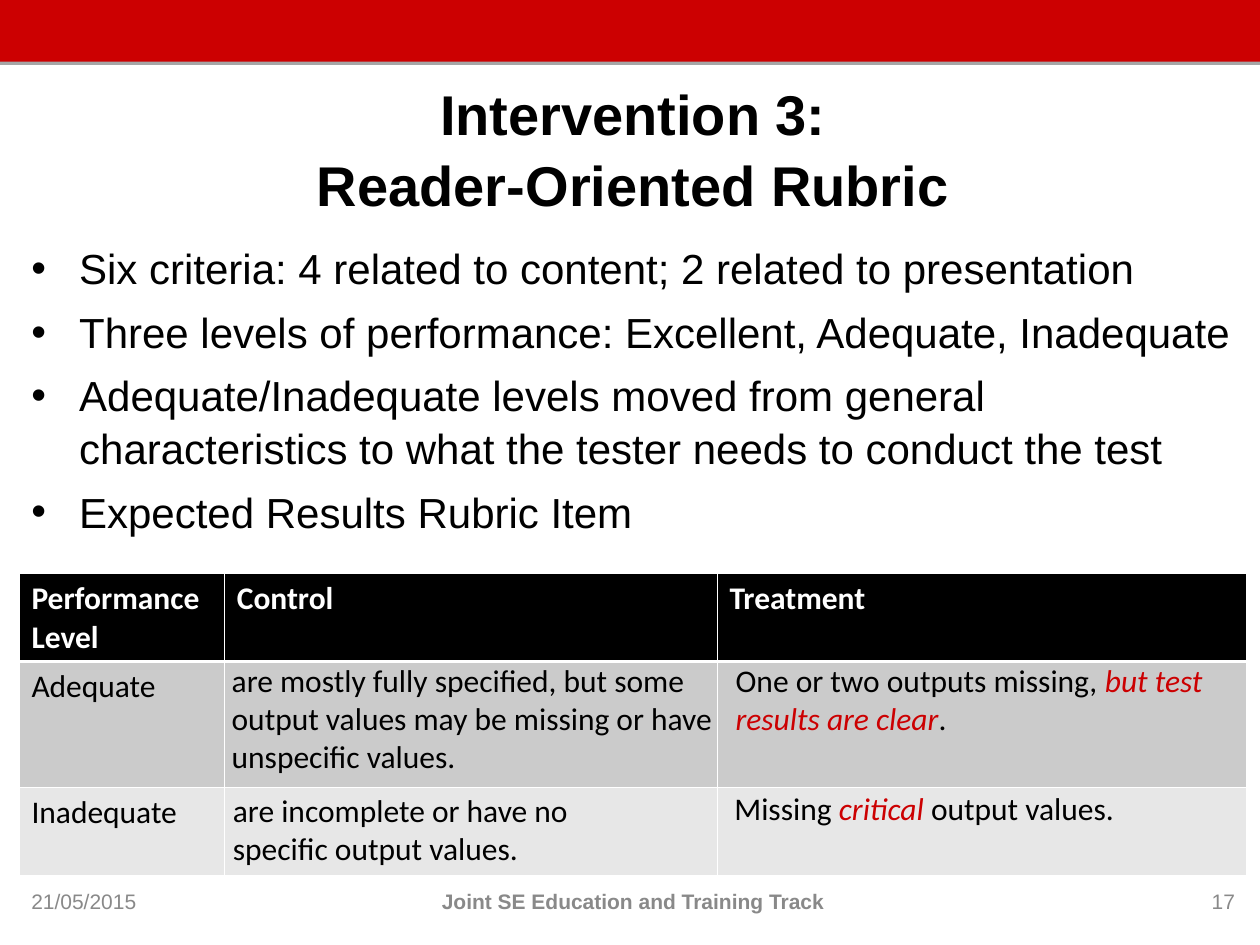
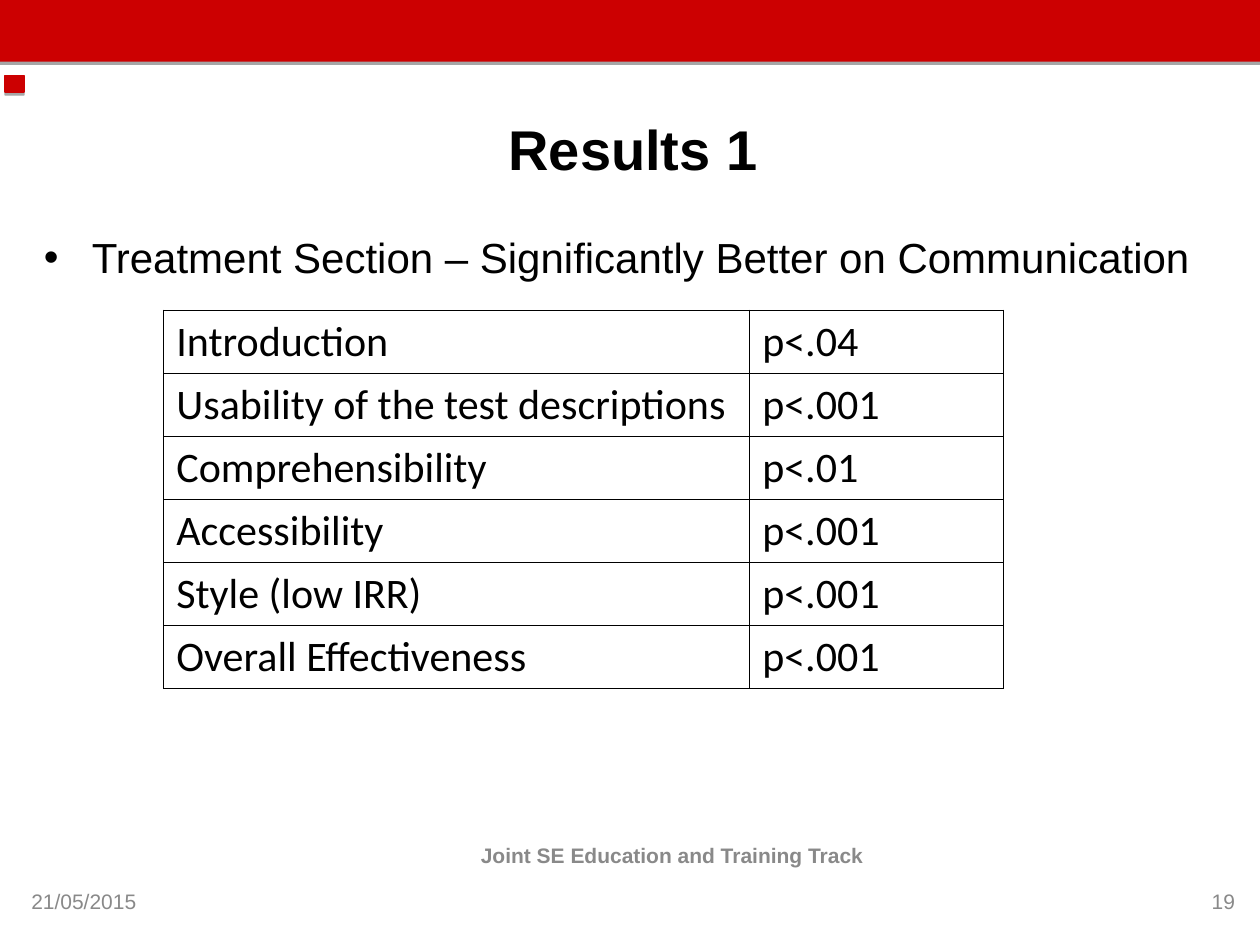
from lxml.etree import SubElement
from pptx import Presentation
from pptx.dml.color import RGBColor
from pptx.enum.shapes import MSO_SHAPE as Shape
from pptx.enum.text import MSO_ANCHOR as Anchor, PP_ALIGN as Align
from pptx.oxml.ns import qn
from pptx.util import Inches, Pt

RED, BLACK, WHITE, GREY = "CC0001", "000000", "FFFFFF", "898989"
HEADING, TABLE = "Arial", "Calibri"
MARGIN, CONTENT_WIDTH = 0.15, 9.75
FOOTER_TOP, FOOTER_HEIGHT = 6.95, 0.4
HAIRLINE, HEADER_RULE = 0.45, 1.47


def rgb(hex_colour):
    """Turn a hex string into a colour."""
    return RGBColor.from_string(hex_colour)


def add_xml(parent, tag, **attributes):
    """Append a DrawingML element and return it."""
    return SubElement(parent, qn(tag), {key: str(value) for key, value in attributes.items()})


def add_run(paragraph, text, size, font=HEADING, colour=BLACK, bold=False, italic=False):
    """Add one formatted run to a paragraph."""
    run = paragraph.add_run()
    run.text = text
    run.font.name, run.font.size = font, Pt(size)
    run.font.bold, run.font.italic = bold, italic
    run.font.color.rgb = rgb(colour)


def add_text_frame(slide, left, top, width, height, anchor=Anchor.TOP, wrap=True):
    """Add a text box and return its frame."""
    box = slide.shapes.add_textbox(Inches(left), Inches(top), Inches(width), Inches(height))
    frame = box.text_frame
    frame.word_wrap, frame.vertical_anchor = wrap, anchor
    return frame


def next_paragraph(frame, index):
    """Return the first paragraph of a frame, or a new one after it."""
    return frame.add_paragraph() if index else frame.paragraphs[0]


def add_red_block(slide, left, top, width, height, outlined=False):
    """Add a red rectangle with a hard shadow below it."""
    block = slide.shapes.add_shape(
        Shape.RECTANGLE, Inches(left), Inches(top), Inches(width), Inches(height))
    block.fill.solid()
    block.fill.fore_color.rgb = rgb(RED)
    if outlined:
        block.line.color.rgb = rgb(RED)
        block.line.width = Pt(0.75)
    else:
        block.line.fill.background()
    block.shadow.inherit = False
    effects = block.element.spPr.find(qn("a:effectLst"))
    shadow = add_xml(effects, "a:outerShdw", blurRad=0, dist=Pt(1.8), dir=5400000,
                     algn="ctr", rotWithShape=0)
    add_xml(add_xml(shadow, "a:srgbClr", val=BLACK), "a:alpha", val=35000)


def add_title(slide, lines):
    """Add the centred slide title."""
    frame = add_text_frame(slide, MARGIN, 0.58, CONTENT_WIDTH, 1.17, Anchor.MIDDLE)
    title = frame.paragraphs[0]
    title.alignment, title.line_spacing = Align.CENTER, 1.05
    for index, line in enumerate(lines):
        if index:
            title.add_line_break()
        add_run(title, line, 32, bold=True)


def add_bullets(slide, left, top, points):
    """Add the bulleted body text."""
    frame = add_text_frame(slide, left, top, CONTENT_WIDTH, 4.84)
    for index, point in enumerate(points):
        bullet = next_paragraph(frame, index)
        properties = bullet._p.get_or_add_pPr()
        properties.set("marL", str(Inches(0.38)))
        properties.set("indent", str(Inches(-0.38)))
        add_xml(properties, "a:buFont", typeface=HEADING)
        add_xml(properties, "a:buChar", char="•")
        bullet.line_spacing = 1.05
        if index:
            bullet.space_before = Pt(6)
        add_run(bullet, point, 24)


def add_footer(slide, number, track_left, track_top):
    """Add the date, track name and slide number."""
    for text, left, top, width, align in (
            ("21/05/2015", MARGIN, FOOTER_TOP, 1.15, Align.LEFT),
            ("Joint SE Education and Training Track", track_left, track_top, 7.01, Align.CENTER),
            (number, 9.44, FOOTER_TOP, 0.46, Align.RIGHT)):
        frame = add_text_frame(slide, left, top, width, FOOTER_HEIGHT, Anchor.MIDDLE)
        frame.paragraphs[0].alignment = align
        add_run(frame.paragraphs[0], text, 12, colour=GREY, bold=align == Align.CENTER)


def set_borders(cell, colour, top=HAIRLINE, bottom=HAIRLINE):
    """Draw the four borders of a cell."""
    properties = cell._tc.get_or_add_tcPr()
    for side, width in zip("LRTB", (HAIRLINE, HAIRLINE, top, bottom)):
        border = add_xml(properties, f"a:ln{side}", w=Pt(width))
        add_xml(add_xml(border, "a:solidFill"), "a:srgbClr", val=colour)


def add_grid(slide, left, top, widths, heights):
    """Add a table without banding and return it."""
    grid = slide.shapes.add_table(
        len(heights), len(widths), Inches(left), Inches(top),
        Inches(sum(widths)), Inches(sum(heights))).table
    grid.first_row = grid.horz_banding = False
    for column, width in zip(grid.columns, widths):
        column.width = Inches(width)
    for row, height in zip(grid.rows, heights):
        row.height = Inches(height)
    return grid


def add_rubric(slide):
    """Add the rubric table with its level names."""
    rubric = add_grid(slide, MARGIN, 4.55, (1.63, 3.91, 4.2), (0.7, 1, 0.7))
    levels = (
        (("Performance Level", "Control", "Treatment"), BLACK, HAIRLINE, HEADER_RULE),
        (("Adequate", "", ""), "CBCBCB", HEADER_RULE, HAIRLINE),
        (("Inadequate", "", ""), "E7E7E7", HAIRLINE, HAIRLINE))
    for row, (labels, fill, top, bottom) in zip(rubric.rows, levels):
        header = fill == BLACK
        for cell, label in zip(row.cells, labels):
            set_borders(cell, WHITE, top, bottom)
            cell.fill.solid()
            cell.fill.fore_color.rgb = rgb(fill)
            if label:
                add_run(cell.text_frame.paragraphs[0], label, 18, TABLE,
                        WHITE if header else BLACK, bold=header)


def add_description(slide, left, top, width, height, lines, wrap=True):
    """Add a rubric description; each line is (text, emphasised) pairs."""
    frame = add_text_frame(slide, left, top, width, height, wrap=wrap)
    for index, line in enumerate(lines):
        paragraph = next_paragraph(frame, index)
        for text, emphasised in line:
            add_run(paragraph, text, 18, TABLE, RED if emphasised else BLACK, italic=emphasised)


def add_p_values(slide, results):
    """Add the table of significance levels."""
    grid = add_grid(slide, 1.3, 2.46, (4.65, 2.01), [0.5] * len(results))
    for row, result in zip(grid.rows, results):
        for cell, text in zip(row.cells, result):
            set_borders(cell, BLACK)
            cell.fill.background()
            add_run(cell.text_frame.paragraphs[0], text, 24, TABLE)


def start_slide(deck, title_lines):
    """Add a blank slide with the red band and title."""
    slide = deck.slides.add_slide(deck.slide_layouts[6])
    add_red_block(slide, 0, 0, 10, 0.49)
    add_title(slide, title_lines)
    return slide


def build_rubric_slide(deck):
    """Build the slide on the reader-oriented rubric."""
    slide = start_slide(deck, ("Intervention 3:", "Reader-Oriented Rubric"))
    add_bullets(slide, MARGIN, 1.86, (
        "Six criteria: 4 related to content; 2 related to presentation",
        "Three levels of performance: Excellent, Adequate, Inadequate",
        "Adequate/Inadequate levels moved from general characteristics "
        "to what the tester needs to conduct the test",
        "Expected Results Rubric Item"))
    add_footer(slide, "17", 1.52, FOOTER_TOP)
    add_rubric(slide)
    add_description(slide, 1.74, 5.2, 4.48, 1, [[
        ("are mostly fully specified, but some output values may be missing "
         "or have unspecific values.", False)]])
    add_description(slide, 1.75, 6.23, 3.62, 1, [[
        ("are incomplete or have no specific output values.", False)]])
    add_description(slide, 5.74, 5.2, 3.91, 1, [
        [("One or two outputs missing, ", False), ("but test", True)],
        [("results are clear", True), (".", False)]], wrap=False)
    add_description(slide, 5.73, 6.21, 3.22, 0.7, [[
        ("Missing ", False), ("critical ", True), ("output values.", False)]], wrap=False)


def build_results_slide(deck):
    """Build the slide on the first results."""
    slide = start_slide(deck, ("Results 1",))
    add_bullets(slide, 0.25, 1.77, (
        "Treatment Section – Significantly Better on Communication",))
    add_footer(slide, "19", 1.83, 6.59)
    add_p_values(slide, (
        ("Introduction", "p<.04"),
        ("Usability of the test descriptions", "p<.001"),
        ("Comprehensibility", "p<.01"),
        ("Accessibility", "p<.001"),
        ("Style (low IRR)", "p<.001"),
        ("Overall Effectiveness", "p<.001")))
    add_red_block(slide, 0.04, 0.6, 0.15, 0.13, outlined=True)


def main():
    """Build and save the deck."""
    deck = Presentation()
    deck.slide_width, deck.slide_height = Inches(10), Inches(7.5)
    build_rubric_slide(deck)
    build_results_slide(deck)
    deck.save("out.pptx")


if __name__ == "__main__":
    main()
